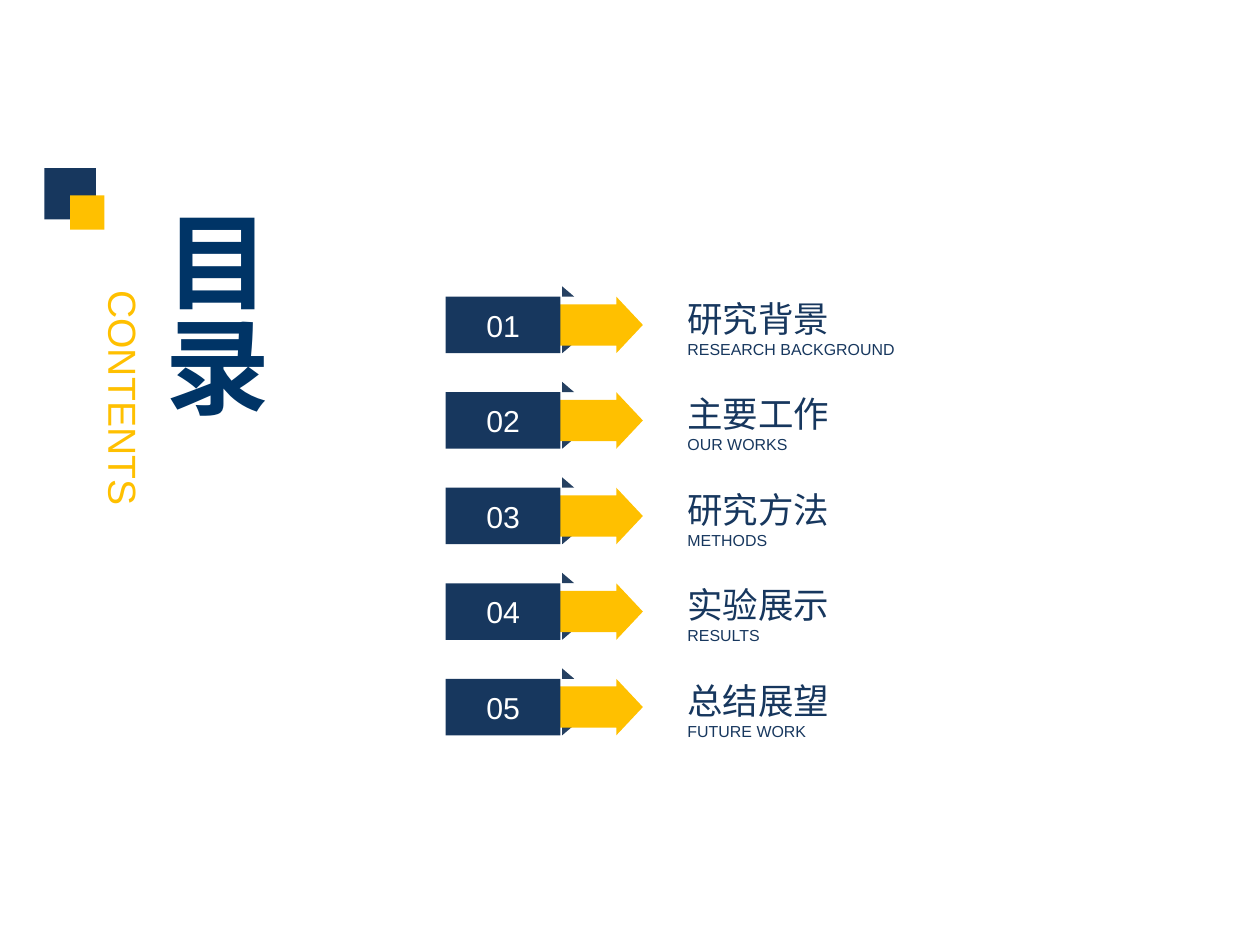
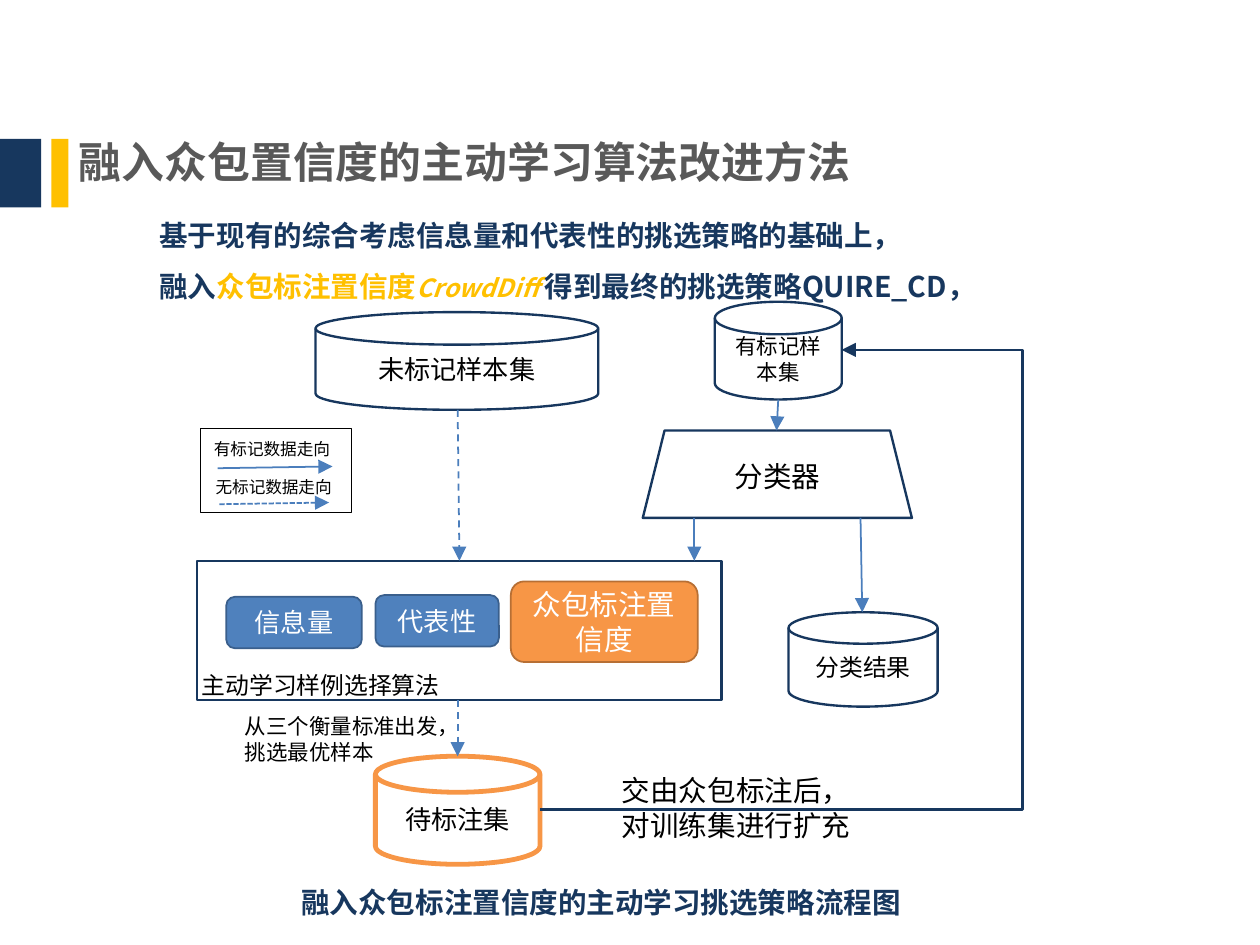
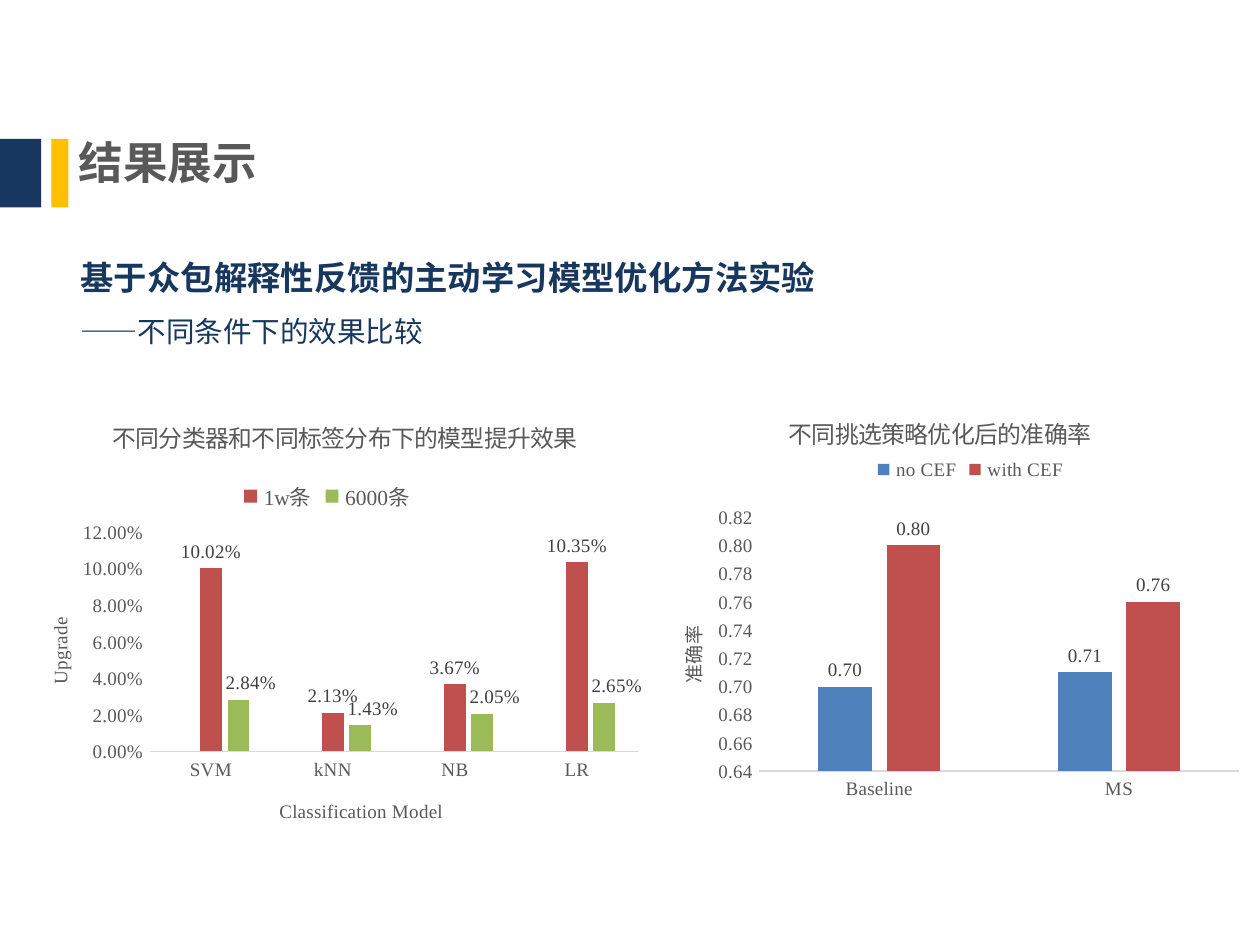
from pptx import Presentation
from pptx.chart.data import CategoryChartData
from pptx.dml.color import RGBColor
from pptx.enum import chart as ch, dml, shapes, text
from pptx.oxml import parse_xml
from pptx.oxml.ns import nsdecls, qn
from pptx.util import Inches, Pt

# Colours and fonts
NAVY = RGBColor(0x17, 0x37, 0x5E)
FOLD = RGBColor(0x25, 0x40, 0x61)
DEEP = RGBColor(0x00, 0x34, 0x66)
GOLD = RGBColor(0xFF, 0xC0, 0x00)
BLUE = RGBColor(0x4F, 0x81, 0xBD)
EDGE = RGBColor(0x3A, 0x5F, 0x8C)
FLOW = RGBColor(0x4B, 0x7E, 0xBC)
ORANGE = RGBColor(0xF7, 0x96, 0x46)
RUST = RGBColor(0xB7, 0x6F, 0x34)
RED = RGBColor(0xC0, 0x50, 0x4D)
GREEN = RGBColor(0x9B, 0xBB, 0x59)
GREY = RGBColor(0x59, 0x59, 0x59)
DARK = RGBColor(0x40, 0x40, 0x40)
PALE = RGBColor(0xD9, 0xD9, 0xD9)
WHITE = RGBColor(0xFF, 0xFF, 0xFF)
BLACK = RGBColor(0, 0, 0)

SANS = "Noto Sans CJK SC"
SERIF = "Times New Roman"
KIND = shapes.MSO_SHAPE
DISK = KIND.FLOWCHART_MAGNETIC_DISK
LEFT, MID = text.PP_ALIGN.LEFT, text.PP_ALIGN.CENTER


# Text
def style(font, size, color, bold=False, italic=False, face=SANS):
    font.size, font.bold, font.italic, font.name = Pt(size), bold, italic, face
    font.color.rgb = color


def write(shape, lines, face=SANS, align=LEFT, space=None, inset=True, middle=False):
    """Each line is a list of runs: (words, size, colour, bold, italic)."""
    frame = shape.text_frame
    frame.word_wrap = True
    frame.auto_size = text.MSO_AUTO_SIZE.NONE
    frame.vertical_anchor = text.MSO_ANCHOR.MIDDLE if middle else text.MSO_ANCHOR.TOP
    if not inset:
        frame.margin_left = frame.margin_right = frame.margin_top = frame.margin_bottom = 0
    for i, line in enumerate(lines):
        para = frame.add_paragraph() if i else frame.paragraphs[0]
        para.alignment, para.line_spacing = align, space
        para.space_before = Pt(0)
        for words, *look in line:
            run = para.add_run()
            run.text = words
            style(run.font, *look, face=face)
            east = parse_xml(f'<a:ea {nsdecls("a")} typeface="{SANS}"/>')
            run.font._element.find(qn("a:latin")).addnext(east)


def move(shape, box):
    shape.left, shape.top, shape.width, shape.height = map(Inches, box)


def label(slide, box, lines, **opts):
    shape = slide.shapes.add_textbox(*map(Inches, box))
    write(shape, lines, **opts)
    return shape


def head(slide, box, words, size, color, face="Calibri"):
    move(slide.shapes.title, box)
    write(slide.shapes.title, [[(words, size, color, True)]], face, inset=False, middle=True)


def lead(slide, box, lines):
    """Body text without bullets."""
    body = slide.placeholders[1]
    move(body, box)
    write(body, lines, space=1.5)
    for para in body.text_frame.paragraphs:
        props = para._p.get_or_add_pPr()
        props.set("marL", "0")
        props.set("indent", "0")
        props.append(parse_xml(f'<a:buNone {nsdecls("a")}/>'))


# Shapes and lines
def block(slide, kind, box, fill=None, line=None, width=1.0):
    shape = slide.shapes.add_shape(kind, *map(Inches, box))
    shape.shadow.inherit = False
    if fill is None:
        shape.fill.background()
    else:
        shape.fill.solid()
        shape.fill.fore_color.rgb = fill
    if line is None:
        shape.line.fill.background()
    else:
        shape.line.color.rgb, shape.line.width = line, Pt(width)
    return shape


def node(slide, kind, box, words, size, fill=None, line=NAVY, width=1.0, color=BLACK):
    shape = block(slide, kind, box, fill, line, width)
    face = "Calibri" if color == BLACK else SANS
    write(shape, [[(words, size, color)]], face, MID, middle=True)


def arrow(slide, x1, y1, x2, y2, dash=None, bend=None, color=FLOW, width=0.75):
    kind = shapes.MSO_CONNECTOR.STRAIGHT if bend is None else shapes.MSO_CONNECTOR.ELBOW
    link = slide.shapes.add_connector(kind, *map(Inches, (x1, y1, x2, y2)))
    link.line.color.rgb, link.line.width = color, Pt(width)
    if dash:
        link.line.dash_style = dash
    props = link._element.spPr
    if bend is not None:
        geom = props.find(qn("a:prstGeom"))
        for old in list(geom):
            geom.remove(old)
        geom.append(parse_xml(f'<a:avLst {nsdecls("a")}><a:gd name="adj1" '
                              f'fmla="val {round(bend * 100000)}"/></a:avLst>'))
    link.line._get_or_add_ln().append(parse_xml(f'<a:tailEnd {nsdecls("a")} type="triangle"/>'))
    props.append(parse_xml(f'<a:effectLst {nsdecls("a")}/>'))


def band(slide):
    block(slide, KIND.RECTANGLE, (0, 0.81, 0.24, 0.4), NAVY)
    block(slide, KIND.RECTANGLE, (0.3, 0.81, 0.1, 0.4), GOLD)


# Charts
def layout(x, y, w=None, h=None, inner=False, edge=True):
    tags = [("layoutTarget", "inner")] if inner else []
    if edge:
        tags += [("xMode", "edge"), ("yMode", "edge")]
    tags += [(k, v) for k, v in zip("xywh", (x, y, w, h)) if v is not None]
    rows = "".join(f'<c:{k} val="{v}"/>' for k, v in tags)
    return parse_xml(f'<c:layout {nsdecls("c")}><c:manualLayout>{rows}</c:manualLayout></c:layout>')


def pin(owner, after, spot):
    """Put a manual layout behind the named child."""
    for old in owner.findall(qn("c:layout")):
        owner.remove(old)
    if after is None:
        owner.insert(0, spot)
    else:
        owner.find(qn(after)).addnext(spot)


def name(title, words, size, face, spot):
    run = title.text_frame.paragraphs[0].add_run()
    run.text = words
    style(run.font, size, GREY, face=face)
    pin(title._element, "c:tx", layout(*spot))


def graph(slide, box, title, cats, series, form, scale, legend, plot_at):
    """title and legend: (words or size, spot); series: (name, colour, values)."""
    data = CategoryChartData(number_format=form)
    data.categories = cats
    for tag, _, vals in series:
        data.add_series(tag, vals)
    chart = slide.shapes.add_chart(ch.XL_CHART_TYPE.COLUMN_CLUSTERED,
                                   *map(Inches, box), data).chart
    style(chart.font, 8, GREY, face=SERIF)
    chart.element.find(qn("c:chart")).addnext(
        parse_xml(f'<c:spPr {nsdecls("c", "a")}><a:noFill/><a:ln><a:noFill/></a:ln></c:spPr>'))
    chart.has_title = True
    name(chart.chart_title, title[0], 10, SANS, title[1])

    # Axes
    low, high, step = scale
    val, cat = chart.value_axis, chart.category_axis
    val.minimum_scale, val.maximum_scale, val.major_unit = low, high, step
    val.has_major_gridlines = False
    val.tick_labels.number_format = form
    val.tick_labels.number_format_is_linked = False
    val.format.line.fill.background()
    cat.format.line.color.rgb, cat.format.line.width = PALE, Pt(0.75)
    for axis in (val, cat):
        axis.major_tick_mark = ch.XL_TICK_MARK.NONE
        style(axis.tick_labels.font, 8, GREY, face=SERIF)

    # Bars and their labels
    plot = chart.plots[0]
    plot.gap_width, plot.overlap, plot.vary_by_categories = 219, -27, False
    for bars, (_, color, vals) in zip(plot.series, series):
        bars.format.fill.solid()
        bars.format.fill.fore_color.rgb = color
        if vals[0] is None:
            continue
        marks = bars.data_labels
        marks.show_value, marks.position = True, ch.XL_LABEL_POSITION.OUTSIDE_END
        marks.number_format, marks.number_format_is_linked = form, False
        style(marks.font, 8, DARK, face=SERIF)

    # Legend
    chart.has_legend = True
    chart.legend.position = ch.XL_LEGEND_POSITION.TOP
    chart.legend.include_in_layout = False
    style(chart.legend.font, legend[0], GREY, face=SERIF)
    pin(chart.legend._element, "c:legendPos", layout(*legend[1]))
    pin(chart.element.find(".//" + qn("c:plotArea")), None, layout(*plot_at, inner=True))
    return chart


def shift(bars, count, dx):
    """Move the labels of a series sideways."""
    for i in range(count):
        mark = bars.points[i].data_label
        style(mark.font, 8, DARK, face=SERIF)
        mark.position = ch.XL_LABEL_POSITION.OUTSIDE_END
        spot = layout(dx, 0, edge=False)
        pin(mark._get_or_add_dLbl(), "c:idx", spot)


# Slides
def agenda(slide):
    block(slide, KIND.RECTANGLE, (0.26, 0.98, 0.3, 0.3), NAVY)
    block(slide, KIND.RECTANGLE, (0.41, 1.14, 0.2, 0.2), GOLD)
    head(slide, (0.88, 1.22, 0.74, 2.16), "目录", 44, DEEP, "Arial")
    slide.shapes.title.text_frame._txBody.bodyPr.set("vert", "eaVert")
    side = label(slide, (-0.22, 2.18, 1.88, 0.28), [[("CONTENTS", 16.4, GOLD)]],
                 face="Arial", align=MID, inset=False)
    side.rotation = 90
    topics = [("研究背景", "RESEARCH BACKGROUND"), ("主要工作", "OUR WORKS"),
              ("研究方法", "METHODS"), ("实验展示", "RESULTS"), ("总结展望", "FUTURE WORK")]
    for i, (topic, gloss) in enumerate(topics):
        y = 1.73 + 0.557 * i
        block(slide, KIND.RIGHT_TRIANGLE, (3.28, y - 0.06, 0.07, 0.06), FOLD)
        low = block(slide, KIND.RIGHT_TRIANGLE, (3.28, y + 0.27, 0.07, 0.06), FOLD)
        low._element.spPr.find(qn("a:xfrm")).set("flipV", "1")
        point = block(slide, KIND.RIGHT_ARROW, (2.77, y, 0.98, 0.33), GOLD)
        point.adjustments[0], point.adjustments[1] = 0.73, 0.47
        tab = block(slide, KIND.RECTANGLE, (2.6, y, 0.67, 0.33), NAVY)
        write(tab, [[(f"{i + 1:02}", 12.7, WHITE)]], "Arial", MID, inset=False, middle=True)
        label(slide, (4.01, y, 1.41, 0.36), [[(topic, 14.9, NAVY)], [(gloss, 6.7, NAVY)]],
              face="Arial", inset=False, middle=True)


def method(slide):
    band(slide)
    head(slide, (0.46, 0.79, 4.85, 0.3), "融入众包置信度的主动学习算法改进方法", 18, GREY)
    lead(slide, (0.83, 1.12, 5.52, 0.71), [
        [("基于现有的综合考虑信息量和代表性的挑选策略的基础上，", 12, NAVY, True)],
        [("融入", 12, NAVY, True), ("众包标注置信度", 12, GOLD, True),
         ("CrowdDiff ", 10.5, GOLD, True, True),
         ("得到最终的挑选策略QUIRE_CD，", 12, NAVY, True)]])

    # Selection box with its three measures
    block(slide, KIND.RECTANGLE, (1.15, 3.27, 3.06, 0.81), None, NAVY)
    for box, words, size, fill, line in [
            ((1.32, 3.48, 0.79, 0.3), "信息量", 11, BLUE, EDGE),
            ((2.19, 3.47, 0.72, 0.3), "代表性", 11, BLUE, EDGE),
            ((2.98, 3.39, 1.09, 0.47), "众包标注置信度", 12, ORANGE, RUST)]:
        node(slide, KIND.ROUNDED_RECTANGLE, box, words, size, fill, line, 0.75, WHITE)

    # Data sets and classifier
    for box, words, size, line, width in [
            ((1.84, 1.82, 1.65, 0.57), "未标记样本集", 11, NAVY, 1),
            ((4.17, 1.76, 0.74, 0.57), "有标记样本集", 9, NAVY, 1),
            ((2.19, 4.41, 0.96, 0.63), "待标注集", 11, ORANGE, 2),
            ((4.6, 3.57, 0.87, 0.55), "分类结果", 10, NAVY, 1)]:
        node(slide, DISK, box, words, size, WHITE, line, width)
    node(slide, KIND.TRAPEZOID, (3.75, 2.51, 1.57, 0.51), "分类器", 12)

    # Flow and key
    block(slide, KIND.RECTANGLE, (1.17, 2.5, 0.88, 0.49), WHITE, BLACK, 0.5)
    dash, dots = dml.MSO_LINE.DASH, dml.MSO_LINE.SQUARE_DOT
    for ends, mark in [((2.67, 2.39, 2.68, 3.27), dash), ((2.67, 4.08, 2.67, 4.41), dash),
                       ((4.54, 2.33, 4.53, 2.51), None), ((5.02, 3.02, 5.03, 3.57), None),
                       ((4.05, 3.02, 4.05, 3.27), None), ((1.27, 2.73, 1.94, 2.72), None),
                       ((1.28, 2.94, 1.92, 2.93), dots)]:
        arrow(slide, *ends, dash=mark)
    arrow(slide, 3.15, 4.72, 4.91, 2.04, bend=1.6, color=NAVY, width=1)

    # Notes on the flow
    for box, size, lines in [
            ((1.08, 3.86, 1.76, 0.26), 10, ["主动学习样例选择算法"]),
            ((1.33, 4.11, 1.43, 0.4), 9, ["从三个衡量标准出发，挑选最优样本"]),
            ((3.53, 4.46, 2.27, 0.5), 12, ["交由众包标注后，", "对训练集进行扩充"]),
            ((1.15, 2.51, 1.83, 0.22), 7, ["有标记数据走向"]),
            ((1.16, 2.73, 1.83, 0.22), 7, ["无标记数据走向"])]:
        label(slide, box, [[(words, size, BLACK)] for words in lines])
    label(slide, (1.66, 5.01, 3.86, 0.4),
          [[("融入众包标注置信度的主动学习挑选策略流程图", 12, NAVY, True)]], space=1.5)


def result(slide):
    band(slide)
    head(slide, (0.46, 0.79, 1.32, 0.31), "结果展示", 18.7, GREY)
    lead(slide, (0.37, 1.33, 4.94, 0.76), [
        [("基于众包解释性反馈的主动学习模型优化方法实验", 14, NAVY, True)],
        [("——不同条件下的效果比较", 12, NAVY)]])

    # Gain by classifier; the first series is an empty slot
    gain = graph(slide, (0.03, 2.25, 3.76, 2.71),
                 ("不同分类器和不同标签分布下的模型提升效果", (0.16, 0.06)),
                 ["SVM", "kNN", "NB", "LR"],
                 [("Series 1", BLUE, [None] * 4),
                  ("1w条", RED, [0.1002, 0.0213, 0.0367, 0.1035]),
                  ("6000条", GREEN, [0.0284, 0.0143, 0.0205, 0.0265])],
                 "0.00%", (0, 0.12, 0.02), (9, (0.36, 0.19)), (0.225, 0.315, 0.757, 0.472))
    name(gain.value_axis.axis_title, "Upgrade", 8, SERIF, (0.06, 0.49))
    name(gain.category_axis.axis_title, "Classification Model", 8, SERIF, (0.42, 0.88))
    gain.legend._element.find(qn("c:legendPos")).addnext(parse_xml(
        f'<c:legendEntry {nsdecls("c")}><c:idx val="0"/><c:delete val="1"/></c:legendEntry>'))
    shift(gain.plots[0].series[2], 4, 0.02)

    # Accuracy by strategy
    rate = graph(slide, (3.67, 2.24, 3.62, 2.47),
                 ("不同挑选策略优化后的准确率", (0.25, 0.06)), ["Baseline", "MS"],
                 [("no CEF", BLUE, [0.7, 0.71]), ("with CEF", RED, [0.8, 0.76])],
                 "0.00", (0.64, 0.82, 0.02), (8, (0.39, 0.16)), (0.21, 0.314, 0.773, 0.6))
    name(rate.value_axis.axis_title, "准确率", 8, SERIF, (0.07, 0.56))


def main():
    deck = Presentation()
    deck.slide_width, deck.slide_height = Inches(7.35), Inches(5.51)
    for draw, kind in [(agenda, 5), (method, 1), (result, 1)]:
        draw(deck.slides.add_slide(deck.slide_layouts[kind]))
    deck.save("out.pptx")


if __name__ == "__main__":
    main()
